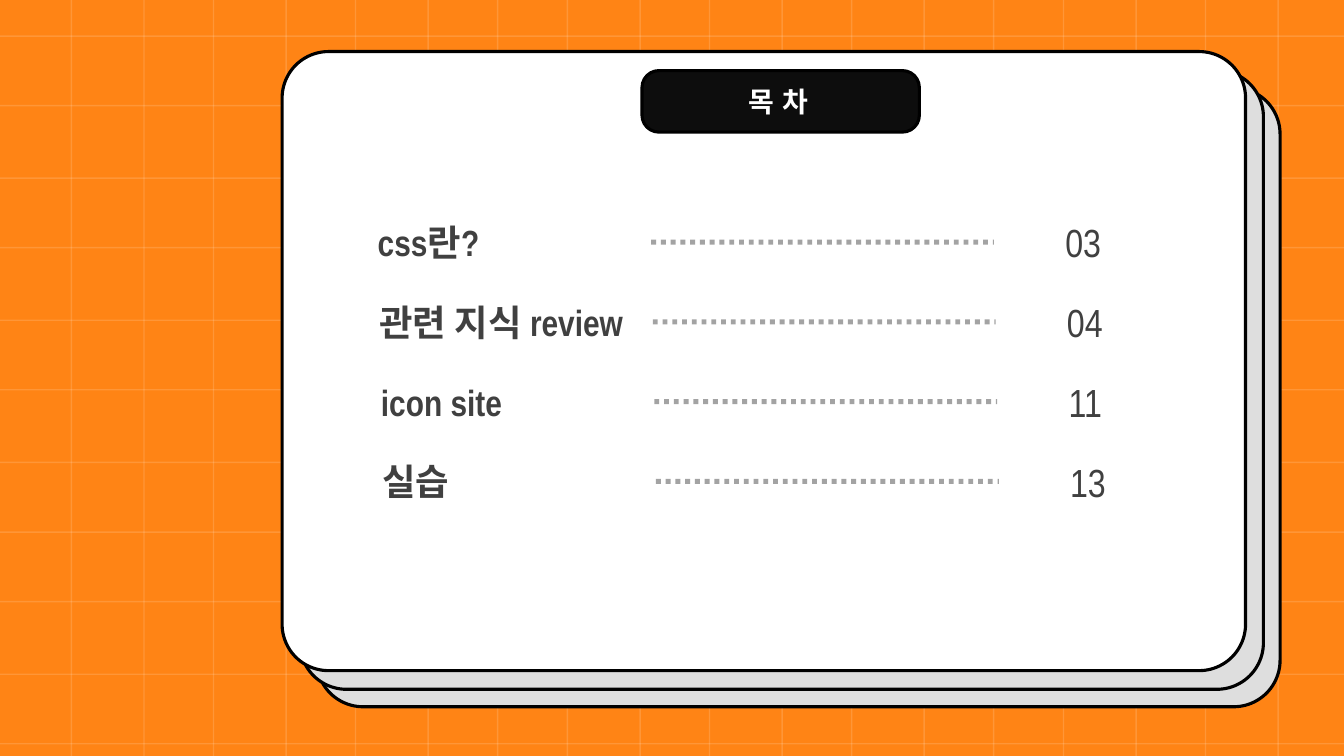
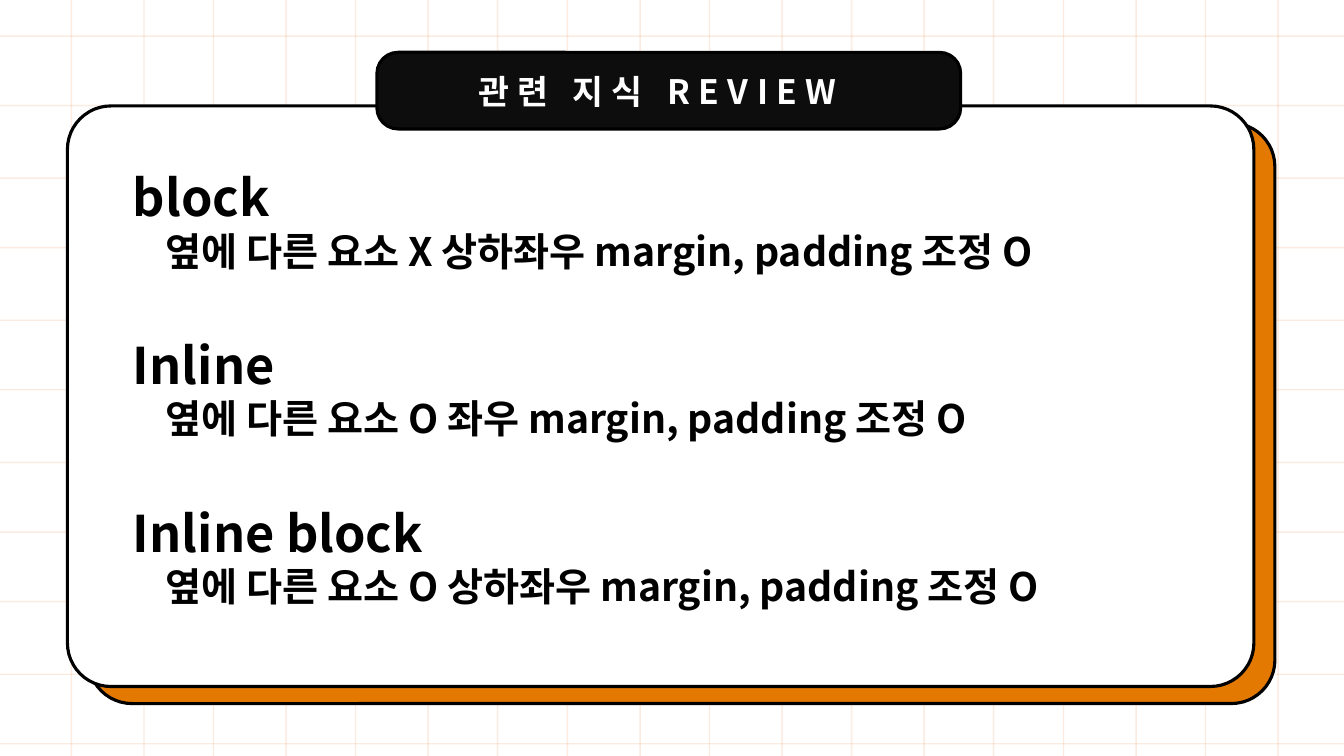
from typing import NamedTuple

from lxml.etree import SubElement
from pptx import Presentation
from pptx.dml.color import RGBColor
from pptx.enum.dml import MSO_LINE
from pptx.enum.shapes import MSO_CONNECTOR, MSO_SHAPE
from pptx.enum.text import MSO_ANCHOR as Anchor, PP_ALIGN as Align
from pptx.oxml.ns import qn
from pptx.util import Cm, Pt

SLIDE_WIDTH, SLIDE_HEIGHT = 33.87, 19.05
SANS, NARROW = "Noto Sans CJK KR", "Arial Narrow"
BLACK, WHITE, INK = "000000", "FFFFFF", "0D0D0D"
ORANGE, AMBER, PEACH = "FF8415", "E37900", "ED7D31"
SILVER, CHARCOAL, GRAY = "DEDEDE", "404040", "595959"
LINE_HEIGHT = 1.2

TITLE = {"name": SANS, "bold": True, "color": WHITE}
ENTRY = {"name": NARROW, "bold": True, "color": CHARCOAL, "size": 26}
PAGE = {"name": NARROW, "bold": False, "color": CHARCOAL, "size": 28}
TERM = {"name": SANS, "bold": True, "color": BLACK, "size": 36}
DETAIL = {**TERM, "size": 28}

CONTENTS = [("css란?", "03"), ("관련 지식 review", "04"),
            ("icon site", "11"), ("실습", "13")]
DISPLAY_TYPES = [
    ("block", "옆에 다른 요소 X 상하좌우 margin, padding 조정 O"),
    ("Inline", "옆에 다른 요소 O 좌우 margin, padding 조정 O"),
    ("Inline block", "옆에 다른 요소 O 상하좌우 margin, padding 조정 O"),
]


class Box(NamedTuple):
    left: float
    top: float
    width: float
    height: float

    def inside(self, left, top, width, height):
        return Box(self.left + left, self.top + top, width, height)

    def lengths(self):
        return [Cm(value) for value in self]


def paint(color_format, color):
    color_format.rgb = RGBColor.from_string(color)


def fill_background(slide, color):
    fill = slide.background.fill
    fill.solid()
    paint(fill.fore_color, color)


def write(paragraph, text, style, spacing=0):
    run = paragraph.add_run()
    run.text = text
    for name, value in style.items():
        if name == "color":
            paint(run.font.color, value)
        else:
            setattr(run.font, name, Pt(value) if name == "size" else value)
    paragraph.line_spacing = Pt(style["size"] * LINE_HEIGHT)
    properties = run.font._element
    if spacing:
        properties.set("spc", str(spacing * 100))
    SubElement(properties, qn("a:ea"), typeface=SANS)


def add_text(slide, box, anchor=Anchor.MIDDLE):
    frame = slide.shapes.add_textbox(*box.lengths()).text_frame
    frame.word_wrap = True
    frame.vertical_anchor = anchor
    return frame


def add_line(slide, start, end, color, width, opacity, dash=None):
    connector = slide.shapes.add_connector(
        MSO_CONNECTOR.STRAIGHT, *[Cm(value) for value in (*start, *end)])
    line = connector.line
    paint(line.color, color)
    line.width = Pt(width)
    if dash:
        line.dash_style = dash
    properties = connector._element.spPr
    SubElement(properties, qn("a:effectLst"))
    for tone in properties.iter(qn("a:srgbClr")):
        SubElement(tone, qn("a:alpha"), val=str(opacity * 1000))


def add_rounded(slide, box, fill, corner):
    shape = slide.shapes.add_shape(MSO_SHAPE.ROUNDED_RECTANGLE, *box.lengths())
    shape.adjustments[0] = corner
    shape.shadow.inherit = False
    shape.fill.solid()
    paint(shape.fill.fore_color, fill)
    paint(shape.line.color, BLACK)
    shape.line.width = Pt(2.25)
    return shape


def grid_positions(start, first_gap, limit):
    positions = []
    for index in range(21):
        block, place = divmod(index, 7)
        pair, second = divmod(place, 2)
        positions.append(start + 12.5 * block + 3.58 * pair + first_gap * second)
    return [position for position in positions if position < limit]


def draw_grid(slide, box, color):
    for y in grid_positions(0.91, 1.75, box.height):
        add_line(slide, (box.left, box.top + y),
                 (box.left + box.width, box.top + y), color, 1, 15)
    for x in grid_positions(1.8, 1.83, box.width):
        add_line(slide, (box.left + x, box.top),
                 (box.left + x, box.top + box.height), color, 1, 15)


def draw_card(slide, box, shadow_color, offsets):
    for x, y in offsets:
        add_rounded(slide, box.inside(x, y, box.width, box.height),
                    shadow_color, 0.075)
    add_rounded(slide, box, WHITE, 0.075)


def draw_title(slide, box, text, size, right_margin):
    frame = add_rounded(slide, box, INK, 0.275).text_frame
    frame.margin_left, frame.margin_right = Cm(0), Cm(right_margin)
    frame.vertical_anchor = Anchor.MIDDLE
    paragraph = frame.paragraphs[0]
    paragraph.alignment = Align.CENTER
    write(paragraph, text, {**TITLE, "size": size}, spacing=6)


def draw_entry(slide, box, title, page):
    middle = box.top + box.height / 2
    write(add_text(slide, box.inside(0, 0, 7.2, box.height)).paragraphs[0],
          title, ENTRY)
    add_line(slide, (box.left + 7.14, middle), (box.left + 15.78, middle),
             GRAY, 3.5, 55, MSO_LINE.ROUND_DOT)
    write(add_text(slide, box.inside(17.33, 0, 2.95, box.height)).paragraphs[0],
          page, PAGE)


def draw_definitions(slide, box):
    frame = add_text(slide, box, Anchor.TOP)
    for index, (term, detail) in enumerate(DISPLAY_TYPES):
        heading = frame.add_paragraph() if index else frame.paragraphs[0]
        if index:
            heading.space_before = Pt(43)
        write(heading, term, TERM)
        explanation = frame.add_paragraph()
        write(explanation, detail, DETAIL)
        explanation._p.get_or_add_pPr().set("marL", str(Cm(0.83)))


def start_slide(presentation, background, grid_color):
    slide = presentation.slides.add_slide(presentation.slide_layouts[6])
    fill_background(slide, background)
    draw_grid(slide, Box(0, 0, SLIDE_WIDTH, SLIDE_HEIGHT), grid_color)
    return slide


def build_contents(presentation):
    slide = start_slide(presentation, ORANGE, WHITE)
    card = Box(7.11, 1.3, 24.28, 15.6)
    draw_card(slide, card, SILVER, [(0.87, 0.91), (0.45, 0.47)])
    draw_title(slide, card.inside(9.07, 0.48, 6.99, 1.55), "목차", 20, 0.12)
    for index, (title, page) in enumerate(CONTENTS):
        row = card.inside(2.16 + 0.04 * index, 4.08 + 2.01 * index, 20.3, 1.44)
        draw_entry(slide, row, title, page)


def build_review(presentation):
    slide = start_slide(presentation, WHITE, PEACH)
    card = Box(1.7, 2.67, 29.9, 14.63)
    draw_card(slide, card, AMBER, [(0.53, 0.43)])
    draw_title(slide, card.inside(7.8, -1.35, 14.71, 1.93),
               "관련 지식 REVIEW", 24, 0.58)
    draw_definitions(slide, card.inside(1.4, 1.4, 27.28, 13))


def main():
    presentation = Presentation()
    presentation.slide_width = Cm(SLIDE_WIDTH)
    presentation.slide_height = Cm(SLIDE_HEIGHT)
    build_contents(presentation)
    build_review(presentation)
    presentation.save("out.pptx")


if __name__ == "__main__":
    main()
